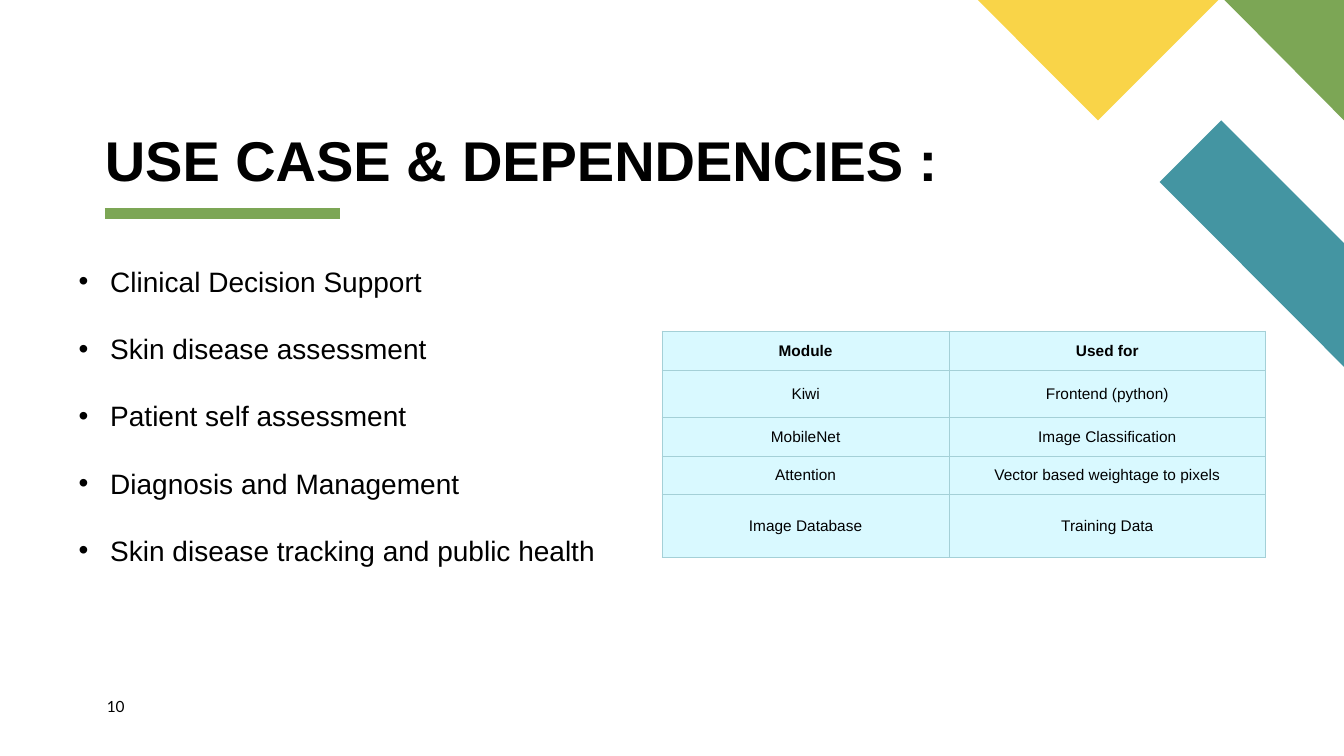
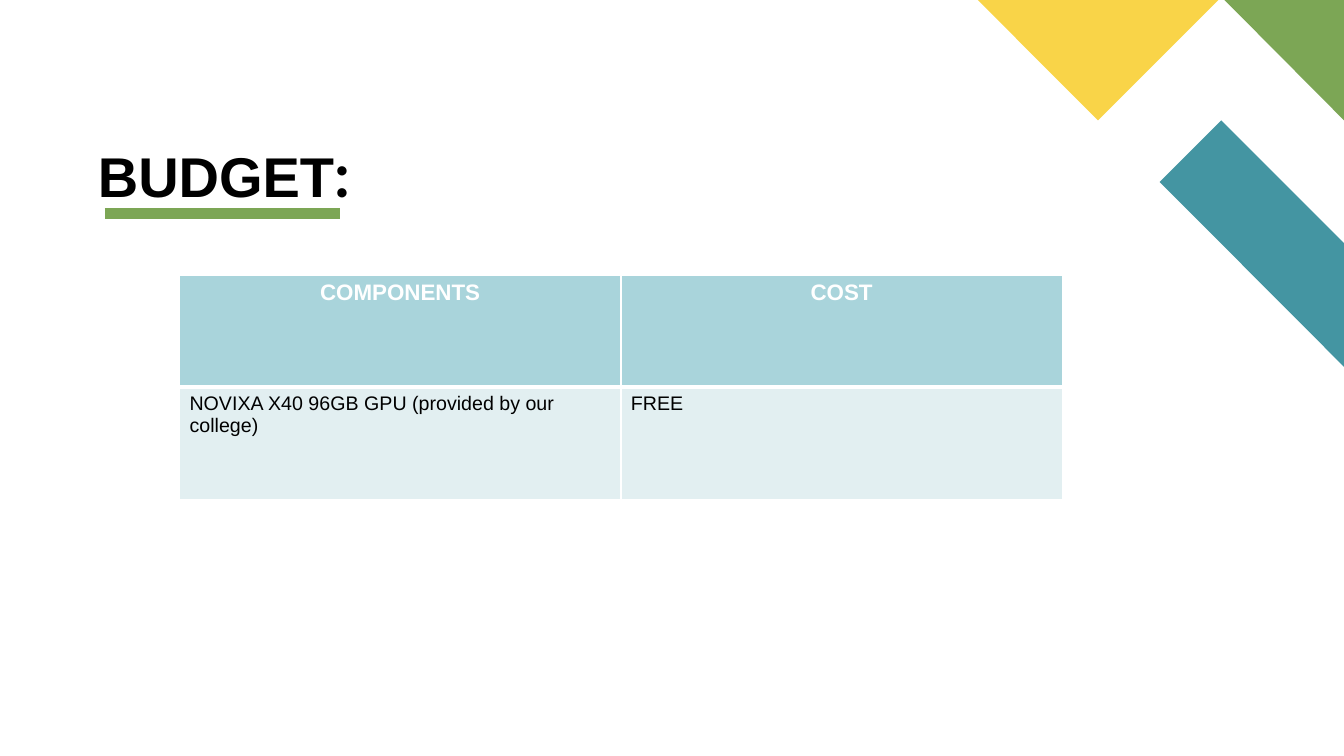
"""Build the use case and budget slides."""
from dataclasses import dataclass
from typing import Any, NamedTuple

import pptx
import pptx.dml.color
import pptx.enum.shapes
import pptx.enum.text
import pptx.oxml
import pptx.oxml.ns
import pptx.util

Pt = pptx.util.Pt
ALIGN = pptx.enum.text.PP_ALIGN
ANCHOR = pptx.enum.text.MSO_ANCHOR

BLACK, WHITE = "000000", "FFFFFF"
GREEN, TEAL, YELLOW = "7CA655", "4495A2", "F9D448"
ICE, AQUA, MIST, AQUA_EDGE = "D9F9FF", "A9D4DB", "E2EFF1", "A4D0D7"
FIRST_NUMBER = 10


class Box(NamedTuple):
    left: float
    top: float
    width: float
    height: float


class Band(NamedTuple):
    color: str
    corners: list[tuple[float, float]]


@dataclass
class TextStyle:
    size: float
    bold: bool = False
    color: str = BLACK
    font: str = "Arial"


@dataclass
class RowStyle:
    text: TextStyle
    fill: str
    edge: str
    edge_widths: dict[str, float]
    align: Any = ALIGN.CENTER
    anchor: Any = ANCHOR.MIDDLE


class Row(NamedTuple):
    height: float
    texts: list[str]
    style: RowStyle


BANDS = [
    Band(TEAL, [(960, 262), (960, 173.6), (872.4, 86), (828.4, 130)]),
    Band(GREEN, [(960, 86), (960, 0), (874.6, 0)]),
    Band(YELLOW, [(698.4, 0), (784.4, 86), (870.4, 0)]),
]
TITLE = TextStyle(40, bold=True)
TITLE_COLON = TextStyle(44, bold=True, font="Lato")


def rgb(color: str) -> pptx.dml.color.RGBColor:
    """Turn a hex string into a colour."""
    return pptx.dml.color.RGBColor.from_string(color)


def apply(target: Any, values: dict[str, Any]) -> None:
    """Set each named attribute on the target."""
    for name, value in values.items():
        setattr(target, name, value)


def points(values: Any) -> list[pptx.util.Length]:
    """Turn numbers into point lengths."""
    return [Pt(value) for value in values]


def add_run(paragraph: Any, text: str, style: TextStyle) -> None:
    """Append a styled run to a paragraph."""
    run = paragraph.add_run()
    run.text = text
    apply(run.font, {"size": Pt(style.size), "bold": style.bold, "name": style.font})
    run.font.color.rgb = rgb(style.color)


def place(shape: Any, box: Box, inset: tuple[float, float], anchor: Any) -> Any:
    """Move a text shape, format its frame and return the frame."""
    apply(shape, dict(zip(Box._fields, points(box))))
    across, down = points(inset)
    apply(shape.text_frame, {
        "margin_left": across, "margin_right": across,
        "margin_top": down, "margin_bottom": down,
        "word_wrap": True, "vertical_anchor": anchor,
        "auto_size": pptx.enum.text.MSO_AUTO_SIZE.NONE,
    })
    return shape.text_frame


def add_title(slide: Any, box: Box, inset: tuple[float, float], anchor: Any,
              spacing: float, runs: list[tuple[str, TextStyle]]) -> None:
    """Fill the title placeholder."""
    paragraph = place(slide.shapes.title, box, inset, anchor).paragraphs[0]
    apply(paragraph, {"alignment": ALIGN.LEFT, "line_spacing": spacing})
    for text, style in runs:
        add_run(paragraph, text, style)


def add_bullets(slide: Any, box: Box, items: list[str], style: TextStyle) -> None:
    """Fill the body placeholder with a bulleted list."""
    frame = place(slide.placeholders[1], box, (7.2, 3.6), ANCHOR.TOP)
    for index, item in enumerate(items):
        paragraph = frame.add_paragraph() if index else frame.paragraphs[0]
        apply(paragraph, {"line_spacing": 2.0, "space_before": Pt(0)})
        indent = Pt(22.5)
        properties = paragraph._p.get_or_add_pPr()
        properties.set("marL", str(indent))
        properties.set("indent", str(-indent))
        add_run(paragraph, item, style)


def add_decoration(slide: Any) -> None:
    """Draw the corner bands and the title rule."""
    for band in BANDS:
        start, *others = [tuple(points(corner)) for corner in band.corners]
        builder = slide.shapes.build_freeform(*start)
        builder.add_line_segments(others, close=True)
        shape = builder.convert_to_shape()
        shape.shadow.inherit = False
        shape.fill.solid()
        shape.fill.fore_color.rgb = rgb(band.color)
        shape.line.fill.background()
    rule = slide.shapes.add_connector(
        pptx.enum.shapes.MSO_CONNECTOR.STRAIGHT, *points((75, 152.75, 243, 152.75)))
    rule.line.width = Pt(8)
    rule.line.color.rgb = rgb(GREEN)
    rule._element.spPr.append(pptx.oxml.parse_xml(
        f"<a:effectLst {pptx.oxml.ns.nsdecls('a')}/>"))


def add_slide_number(slide: Any, box: Box) -> None:
    """Add the slide number as a live field."""
    frame = place(slide.shapes.add_textbox(*points(box)), box, (0, 0), ANCHOR.TOP)
    frame.paragraphs[0]._p.append(pptx.oxml.parse_xml(
        f"<a:fld {pptx.oxml.ns.nsdecls('a')} type='slidenum' "
        "id='{B6F15528-21DE-4FAA-801E-634DDDAF4B2B}'>"
        f"<a:rPr lang='en-US' sz='1100'><a:solidFill><a:srgbClr val='{BLACK}'/></a:solidFill>"
        f"<a:latin typeface='Lato'/></a:rPr><a:t>{FIRST_NUMBER}</a:t></a:fld>"))


def set_borders(cell: Any, color: str, widths: dict[str, float]) -> None:
    """Draw the left, right, top and bottom borders of a cell."""
    for side in "LRTB":
        cell._tc.get_or_add_tcPr().append(pptx.oxml.parse_xml(
            f"<a:ln{side} {pptx.oxml.ns.nsdecls('a')} w='{Pt(widths[side])}'>"
            f"<a:solidFill><a:srgbClr val='{color}'/></a:solidFill></a:ln{side}>"))


def add_table(slide: Any, left: float, top: float, widths: list[float],
              rows: list[Row]) -> None:
    """Add a table with a style for each row."""
    box = Box(left, top, sum(widths), sum(row.height for row in rows))
    table = slide.shapes.add_table(len(rows), len(widths), *points(box)).table
    apply(table, {"first_row": False, "horz_banding": False})
    for column, width in zip(table.columns, widths):
        column.width = Pt(width)
    for table_row, row in zip(table.rows, rows):
        table_row.height = Pt(row.height)
        for cell, text in zip(table_row.cells, row.texts):
            set_borders(cell, row.style.edge, row.style.edge_widths)
            cell.fill.solid()
            cell.fill.fore_color.rgb = rgb(row.style.fill)
            cell.vertical_anchor = row.style.anchor
            paragraph = cell.text_frame.paragraphs[0]
            paragraph.alignment = row.style.align
            add_run(paragraph, text, row.style.text)


def build_use_case(slide: Any) -> None:
    """Build the use case and dependencies slide."""
    add_decoration(slide)
    add_title(slide, Box(67.7, 85.7, 684, 55.4), (7.2, 3.6), ANCHOR.TOP, 1.0,
              [("USE CASE & DEPENDENCIES :", TITLE)])
    add_bullets(slide, Box(49, 161.3, 424, 242), [
        "Clinical Decision Support",
        "Skin disease assessment",
        "Patient self assessment",
        "Diagnosis and Management",
        "Skin disease tracking and public health",
    ], TextStyle(20))
    edges = dict.fromkeys("LRTB", 0.75)
    header = RowStyle(TextStyle(11, bold=True), ICE, AQUA_EDGE, edges)
    module = RowStyle(TextStyle(11), ICE, AQUA_EDGE, edges)
    add_table(slide, 473, 236.5, [205, 226], [
        Row(28, ["Module", "Used for"], header),
        Row(34, ["Kiwi", "Frontend (python)"], module),
        Row(27.3, ["MobileNet", "Image Classification"], module),
        Row(27.3, ["Attention", "Vector based weightage to pixels"], module),
        Row(45.4, ["Image Database", "Training Data"], module),
    ])
    add_slide_number(slide, Box(76.3, 498.2, 41, 19.4))


def build_budget(slide: Any) -> None:
    """Build the budget slide."""
    add_decoration(slide)
    add_title(slide, Box(70, 102.2, 389, 48.2), (0, 0), ANCHOR.BOTTOM, 0.9,
              [("BUDGET", TITLE), (":", TITLE_COLON)])
    edges = dict.fromkeys("LRTB", 1)
    header = RowStyle(TextStyle(16, bold=True, color=WHITE), AQUA, WHITE,
                      {**edges, "B": 3}, anchor=ANCHOR.TOP)
    component = RowStyle(TextStyle(14), MIST, WHITE, {**edges, "T": 3},
                         ALIGN.LEFT, ANCHOR.TOP)
    add_table(slide, 128.2, 196.6, [315.3, 315.3], [
        Row(80, ["COMPONENTS", "COST"], header),
        Row(80, ["NOVIXA X40 96GB GPU (provided by our college)", "FREE"], component),
    ])


def main() -> None:
    """Build and save the presentation."""
    deck = pptx.Presentation()
    apply(deck, {"slide_width": Pt(960), "slide_height": Pt(540)})
    deck.element.set("firstSlideNum", str(FIRST_NUMBER))
    for layout, build in ((1, build_use_case), (5, build_budget)):
        build(deck.slides.add_slide(deck.slide_layouts[layout]))
    deck.save("out.pptx")


if __name__ == "__main__":
    main()
